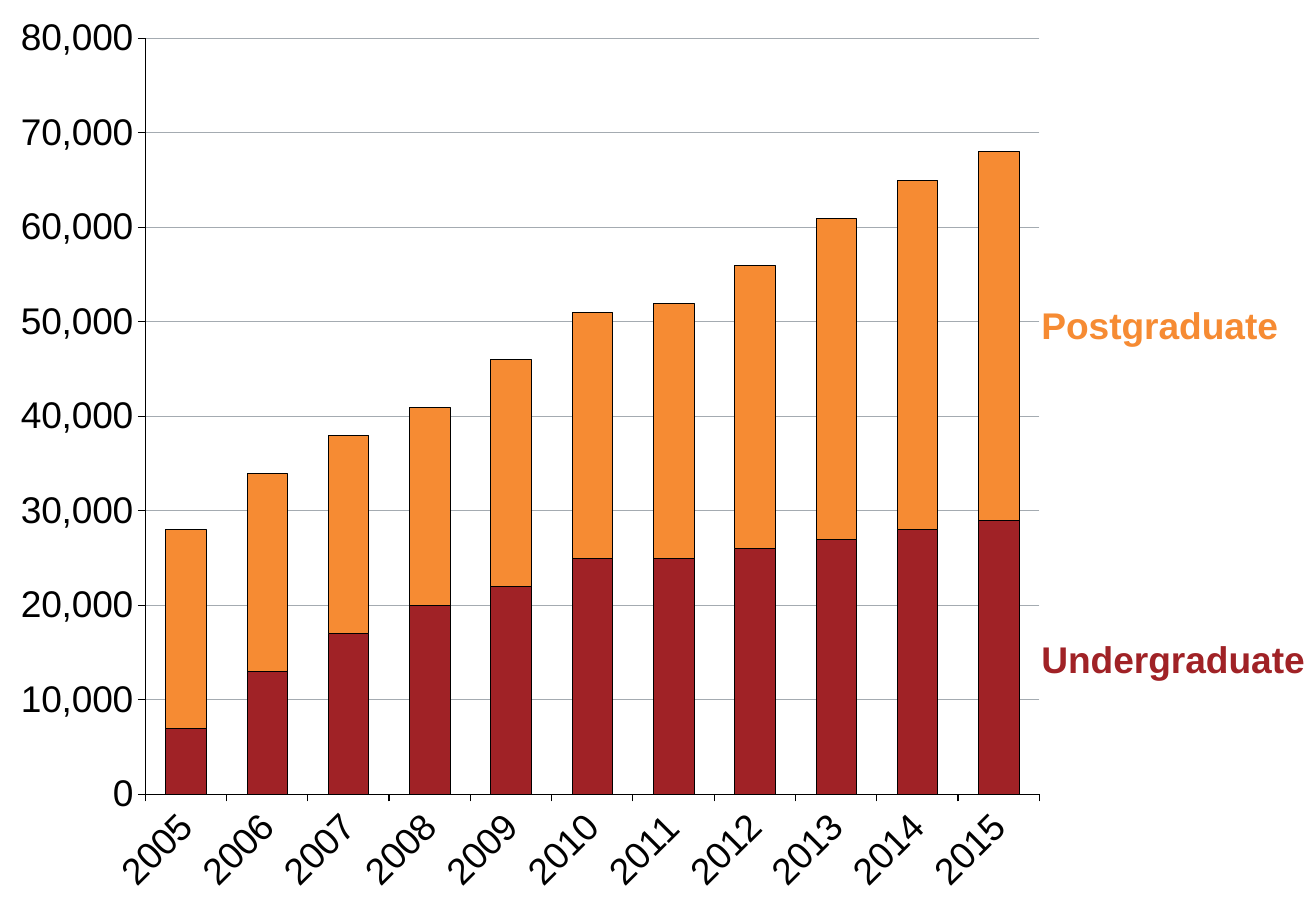
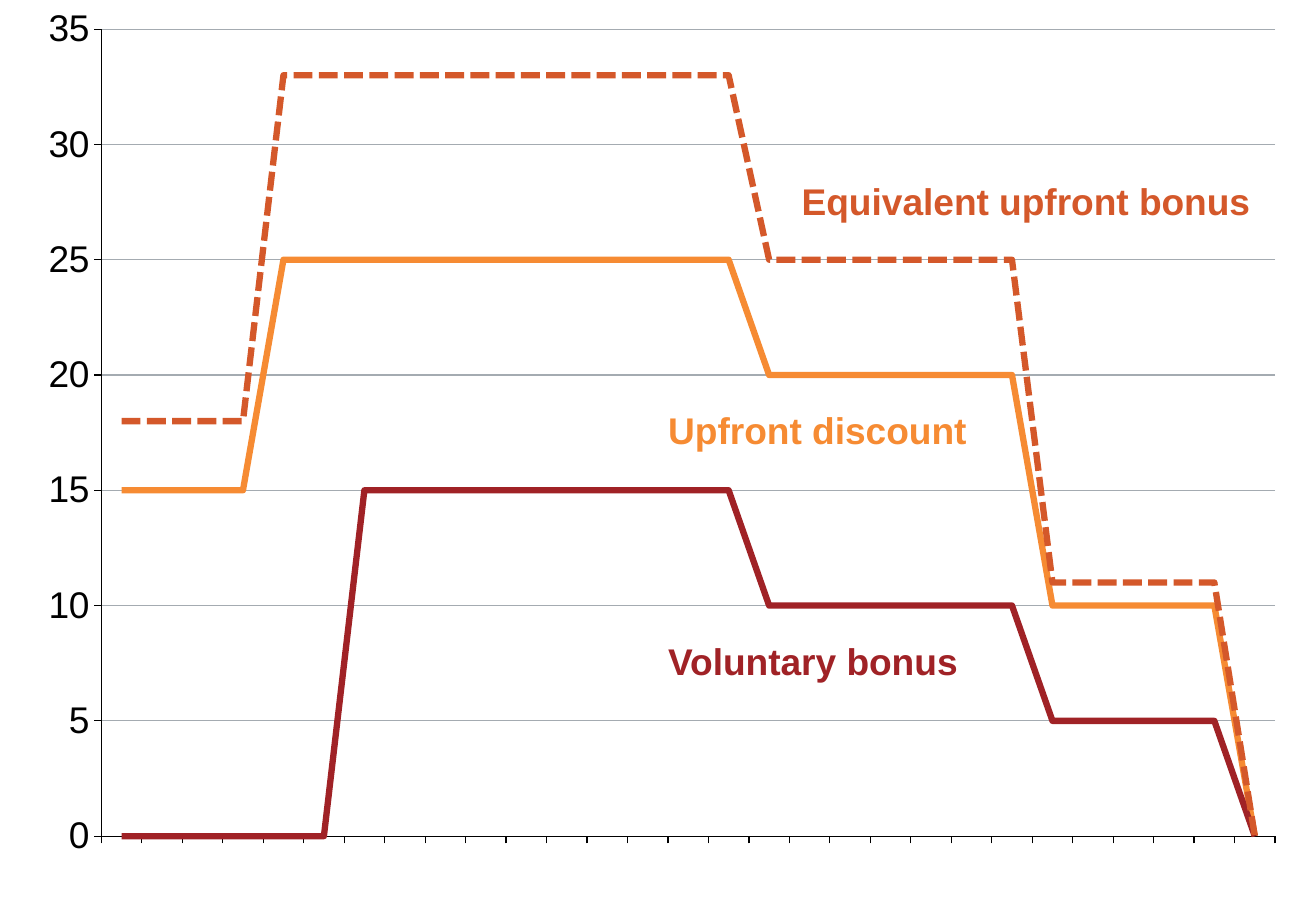
"""Two chart slides: enrolments by level, and discount and bonus rates by year."""
from lxml import etree
from pptx import Presentation
from pptx import util as u
from pptx.chart.data import CategoryChartData
from pptx.dml.color import RGBColor
from pptx.enum import chart as ch, dml, text
from pptx.oxml.ns import qn

FONT = "Arial"
BLACK, GRID = "000000", "A4ABB1"
ORANGE, RED, RUST = "F68B33", "A02226", "D4582A"
SLIDE_W, SLIDE_H = 27.51, 19.05
LABEL_H = 0.94


def rates(*steps):
    return [value for value, years in steps for _ in range(years)]


SLIDES = [
    {
        "type": ch.XL_CHART_TYPE.COLUMN_STACKED,
        "width": 22.15,
        "plot": (0.137, 0.042, 0.844, 0.83),
        "years": range(2005, 2016),
        "show_years": True,
        "max": 80000, "step": 10000, "format": "#,##0",
        "series": [
            ("Undergraduate", RED, False,
             [7000, 13000, 17000, 20000, 22000, 25000, 25000, 26000, 27000, 28000, 29000]),
            ("Postgraduate", ORANGE, False,
             [21000, 21000, 21000, 21000, 24000, 26000, 27000, 30000, 34000, 37000, 39000]),
        ],
        "labels": [
            ("Postgraduate", ORANGE, 21.77, 6.32, 5.0),
            ("Undergraduate", RED, 21.77, 13.31, 5.56),
        ],
    },
    {
        "type": ch.XL_CHART_TYPE.LINE,
        "width": SLIDE_W,
        "plot": (0.077, 0.032, 0.892, 0.886),
        "years": range(1989, 2018),
        "show_years": False,
        "max": 35, "step": 5, "format": "0",
        "series": [
            ("Upfront discount", ORANGE, False, rates((15, 4), (25, 12), (20, 7), (10, 5), (0, 1))),
            ("Voluntary bonus", RED, False, rates((0, 6), (15, 10), (10, 7), (5, 5), (0, 1))),
            ("Equivalent upfront bonus", RUST, True,
             rates((18, 4), (33, 12), (25, 7), (11, 5), (0, 1))),
        ],
        "labels": [
            ("Upfront discount", ORANGE, 13.97, 8.53, 6.32),
            ("Voluntary bonus", RED, 13.97, 13.34, 6.17),
            ("Equivalent upfront bonus", RUST, 16.76, 3.73, 9.5),
        ],
    },
]


def rgb(value):
    return RGBColor.from_string(value)


def set_line(line, color, width):
    line.color.rgb = rgb(color)
    line.width = u.Pt(width)


def set_font(font, size, color, bold=False):
    font.name, font.size, font.bold = FONT, u.Pt(size), bold
    font.color.rgb = rgb(color)


def set_plot_area(chart, box):
    area = chart.plots[0]._element.getparent()
    for old in area.findall(qn("c:layout")):
        area.remove(old)
    layout = etree.Element(qn("c:layout"))
    manual = etree.SubElement(layout, qn("c:manualLayout"))
    values = [("layoutTarget", "inner"), ("xMode", "edge"), ("yMode", "edge")]
    for tag, value in values + list(zip("xywh", box)):
        etree.SubElement(manual, qn(f"c:{tag}")).set("val", str(value))
    area.insert(0, layout)


def format_axes(chart, item):
    years, values = chart.category_axis, chart.value_axis
    for axis in (years, values):
        axis.major_tick_mark = ch.XL_TICK_MARK.OUTSIDE
        axis.minor_tick_mark = ch.XL_TICK_MARK.NONE
        set_font(axis.tick_labels.font, 22, BLACK)
        set_line(axis.format.line, BLACK, 0.75)
    years.has_major_gridlines = False
    if item["show_years"]:
        body = years._element.find(qn("c:txPr")).find(qn("a:bodyPr"))
        body.set("rot", "-2700000")
        body.set("vert", "horz")
    else:
        years.tick_label_position = ch.XL_TICK_LABEL_POSITION.NONE
    values.minimum_scale, values.maximum_scale = 0, item["max"]
    values.major_unit = item["step"]
    values.has_major_gridlines = True
    set_line(values.major_gridlines.format.line, GRID, 0.75)
    values.tick_labels.number_format = item["format"]
    values.tick_labels.number_format_is_linked = False


def format_series(plot, item):
    plot.vary_by_categories = False
    stacked = item["type"] == ch.XL_CHART_TYPE.COLUMN_STACKED
    if stacked:
        plot.gap_width, plot.overlap = 100, 100
    for series, (_, color, dashed, _) in zip(plot.series, item["series"]):
        if stacked:
            series.format.fill.solid()
            series.format.fill.fore_color.rgb = rgb(color)
            set_line(series.format.line, BLACK, 0.25)
        else:
            series.smooth = False
            series.marker.style = ch.XL_MARKER_STYLE.NONE
            set_line(series.format.line, color, 3.75)
            if dashed:
                series.format.line.dash_style = dml.MSO_LINE.SQUARE_DOT


def add_chart(s, item):
    data = CategoryChartData()
    data.categories = list(item["years"])
    for name, _, _, values in item["series"]:
        data.add_series(name, values)
    frame = s.shapes.add_chart(item["type"], 0, 0, u.Cm(item["width"]), u.Cm(SLIDE_H), data)
    chart = frame.chart
    chart.has_legend = chart.has_title = False
    set_font(chart.font, 18, BLACK)
    format_axes(chart, item)
    format_series(chart.plots[0], item)
    set_plot_area(chart, item["plot"])


def add_label(s, words, color, left, top, width):
    sp = s.shapes.add_textbox(u.Cm(left), u.Cm(top), u.Cm(width), u.Cm(LABEL_H))
    tf = sp.text_frame
    tf.margin_left = tf.margin_right = tf.margin_top = tf.margin_bottom = 0
    tf.word_wrap = False
    tf.auto_size = text.MSO_AUTO_SIZE.SHAPE_TO_FIT_TEXT
    tf.text = words
    set_font(tf.paragraphs[0].runs[0].font, 22, color, True)


def main():
    prs = Presentation()
    prs.slide_width, prs.slide_height = u.Cm(SLIDE_W), u.Cm(SLIDE_H)
    for item in SLIDES:
        s = prs.slides.add_slide(prs.slide_layouts[6])
        add_chart(s, item)
        for label in item["labels"]:
            add_label(s, *label)
    prs.save("out.pptx")


if __name__ == "__main__":
    main()
